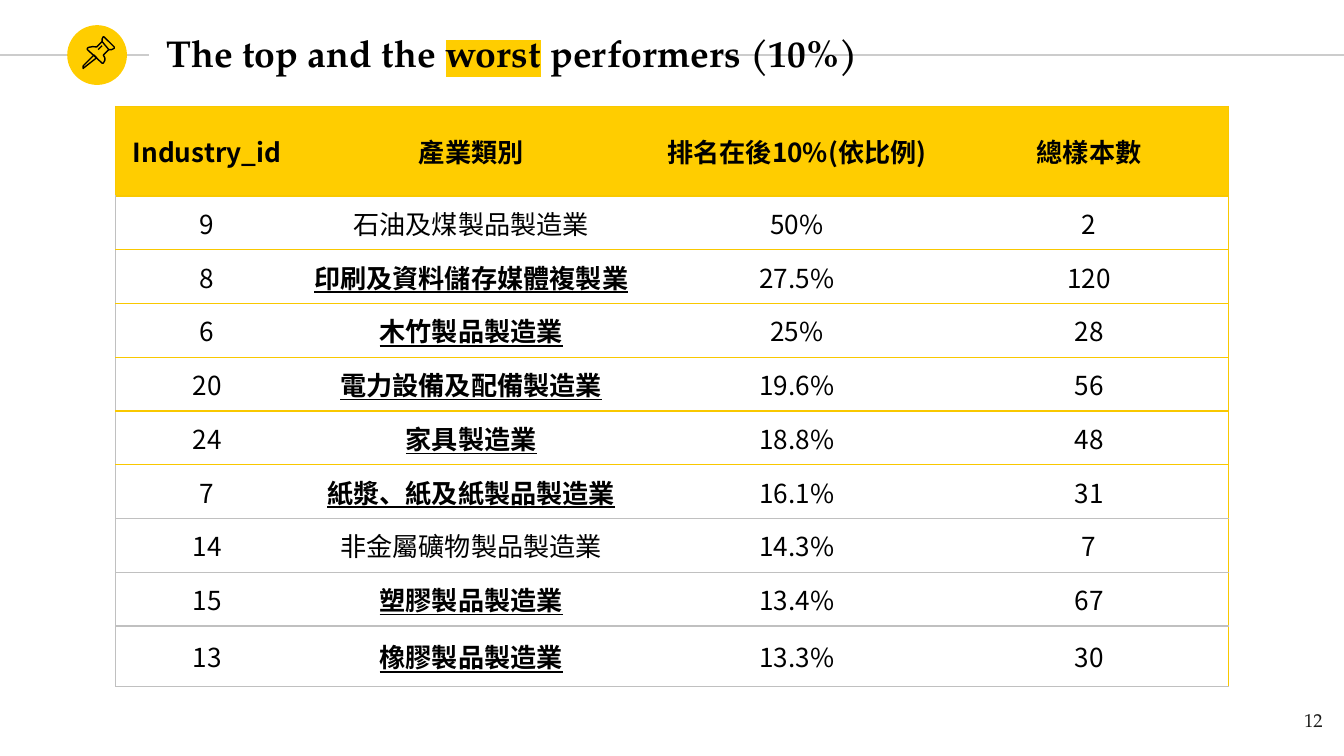
from dataclasses import dataclass
from typing import Optional

import pptx
import pptx.dml.color
import pptx.enum.shapes
import pptx.enum.text
import pptx.oxml
import pptx.oxml.ns
import pptx.util

Pt = pptx.util.Pt
ALIGN = pptx.enum.text.PP_ALIGN
MIDDLE = pptx.enum.text.MSO_ANCHOR.MIDDLE

COLORS = {"yellow": "FFCD00", "edge": "F9C800", "rule": "CCCCCC",
          "grid": "C0C0C0", "black": "000000", "number": "1D1D1B"}
SERIF, SANS, PLAIN = "TeX Gyre Pagella", "Noto Sans CJK TC", "Arial"
HAIRLINE = 0.75
RULE_Y = 29.5
TENTH_POINT = 1270  # EMU per unit of the pin outlines

COLUMN_WIDTHS = (98, 185, 164, 149)
ROW_HEIGHTS = (48,) + (28.8,) * 8 + (32.4,)
LAST_YELLOW_ROW = 5
HEADERS = ("Industry_id", "產業類別", "排名在後10%(依比例)", "總樣本數")


@dataclass
class Industry:
    number: str
    name: str
    share: str
    samples: str
    marked: bool = True


@dataclass
class Outline:
    points: list[tuple[int, int]]
    closed: bool


INDUSTRIES = [
    Industry("9", "石油及煤製品製造業", "50%", "2", False),
    Industry("8", "印刷及資料儲存媒體複製業", "27.5%", "120"),
    Industry("6", "木竹製品製造業", "25%", "28"),
    Industry("20", "電力設備及配備製造業", "19.6%", "56"),
    Industry("24", "家具製造業", "18.8%", "48"),
    Industry("7", "紙漿、紙及紙製品製造業", "16.1%", "31"),
    Industry("14", "非金屬礦物製品製造業", "14.3%", "7", False),
    Industry("15", "塑膠製品製造業", "13.4%", "67"),
    Industry("13", "橡膠製品製造業", "13.3%", "30"),
]

PIN = [
    Outline([(504, 295), (446, 353), (446, 367), (454, 360), (518, 310)], True),
    Outline([(547, 223), (583, 266), (598, 266), (612, 259), (612, 252),
             (558, 198), (552, 198), (547, 209)], True),
    Outline([(547, 223), (518, 252), (497, 250), (475, 254), (468, 259),
             (468, 266), (547, 338), (554, 338), (562, 324), (562, 310),
             (554, 295), (583, 266)], False),
    Outline([(526, 266), (547, 245)], False),
]


def rgb(name: str) -> pptx.dml.color.RGBColor:
    return pptx.dml.color.RGBColor.from_string(COLORS[name])


def xml(text: str):
    return pptx.oxml.parse_xml(text.replace(">", f" {pptx.oxml.ns.nsdecls('a')}>", 1))


def add_span(para, text: str, font: str, size: float, color: str = "black",
             **formats) -> object:
    span = para.add_run()
    span.text = text
    for name, value in {"name": font, "size": Pt(size), **formats}.items():
        setattr(span.font, name, value)
    span.font.color.rgb = rgb(color)
    return span


def set_frame(frame, anchor) -> None:
    formats = {"word_wrap": True, "vertical_anchor": anchor}
    formats.update({f"margin_{side}": Pt(7.2)
                    for side in ("left", "right", "top", "bottom")})
    for name, value in formats.items():
        setattr(frame, name, value)


def add_rule(page, start: float, end: float) -> None:
    rule = page.shapes.add_connector(pptx.enum.shapes.MSO_CONNECTOR.STRAIGHT,
                                     Pt(start), Pt(RULE_Y), Pt(end), Pt(RULE_Y))
    rule.line.color.rgb = rgb("rule")
    rule.line.width = Pt(HAIRLINE)
    rule._element.spPr.append(xml("<a:effectLst></a:effectLst>"))


def add_badge(page) -> None:
    disc = page.shapes.add_shape(pptx.enum.shapes.MSO_SHAPE.OVAL,
                                 Pt(36), Pt(13.5), Pt(32), Pt(32))
    disc.shadow.inherit = False
    disc.fill.solid()
    disc.fill.fore_color.rgb = rgb("yellow")
    disc.line.fill.background()
    pin = page.shapes.add_group_shape()
    for outline in PIN:
        builder = pin.shapes.build_freeform(*outline.points[0], scale=TENTH_POINT)
        builder.add_line_segments(outline.points[1:], close=outline.closed)
        part = builder.convert_to_shape()
        part.shadow.inherit = False
        part.fill.background()
        part.line.color.rgb = rgb("black")
        part.line.width = Pt(HAIRLINE)


def fill_title(page) -> None:
    title = page.shapes.title
    page.shapes._spTree.append(title._element)  # in front of the rule
    for name, value in {"left": 82, "top": 10, "width": 480, "height": 36}.items():
        setattr(title, name, Pt(value))
    set_frame(title.text_frame, MIDDLE)
    para = title.text_frame.paragraphs[0]
    para.alignment = ALIGN.LEFT
    for text in ("The top and the ", "worst", " performers (10%)"):
        span = add_span(para, text, SERIF, 20, bold=True)
        if text == "worst":
            fill = span._r.rPr.find(pptx.oxml.ns.qn("a:solidFill"))
            fill.addnext(xml(f'<a:highlight><a:srgbClr val="{COLORS["yellow"]}"/>'
                             "</a:highlight>"))


def add_page_number(page, number: str) -> None:
    box = page.shapes.add_textbox(Pt(672.5), Pt(373.7), Pt(43.2), Pt(31))
    set_frame(box.text_frame, pptx.enum.text.MSO_ANCHOR.TOP)
    para = box.text_frame.paragraphs[0]
    para.alignment = ALIGN.RIGHT
    add_span(para, number, SERIF, 10, "number")


def set_edges(cell, edges: dict[str, Optional[str]]) -> None:
    """Draw the L, R, T and B edges in the named colours; None hides one."""
    properties = cell._tc.get_or_add_tcPr()
    for place, (side, color) in enumerate(edges.items()):
        paint = (f'<a:solidFill><a:srgbClr val="{COLORS[color]}"/></a:solidFill>'
                 if color else "<a:noFill/>")
        properties.insert(place, xml(f'<a:ln{side} w="{Pt(HAIRLINE)}">{paint}</a:ln{side}>'))


def row_line(row: int) -> str:
    """Colour of the line under a row."""
    return "edge" if row <= LAST_YELLOW_ROW else "grid"


def fill_cell(cell, text: str, row: int, column: int, marked: bool) -> None:
    header = row == 0
    cell.vertical_anchor = MIDDLE
    if header:
        cell.fill.solid()
        cell.fill.fore_color.rgb = rgb("yellow")
    else:
        cell.fill.background()
    left = "edge" if header else "grid"
    last = column == len(COLUMN_WIDTHS) - 1
    set_edges(cell, {"L": left if column == 0 else None,
                     "R": "edge" if last else None,
                     "T": row_line(row - 1), "B": row_line(row)})
    para = cell.text_frame.paragraphs[0]
    para.alignment = ALIGN.CENTER
    emphasis = marked and column == 1
    font = PLAIN if column == 1 and row > 1 else SANS
    span = add_span(para, text, font, 14, bold=header or emphasis, underline=emphasis)
    latin = span._r.rPr.find(pptx.oxml.ns.qn("a:latin"))
    latin.addnext(xml(f'<a:ea typeface="{SANS}"></a:ea>'))


def add_industry_table(page) -> None:
    table = page.shapes.add_table(len(ROW_HEIGHTS), len(COLUMN_WIDTHS), Pt(62), Pt(57),
                                  Pt(sum(COLUMN_WIDTHS)), Pt(sum(ROW_HEIGHTS))).table
    table.horz_banding = False
    for column, width in zip(table.columns, COLUMN_WIDTHS):
        column.width = Pt(width)
    for row, height in zip(table.rows, ROW_HEIGHTS):
        row.height = Pt(height)
    lines = [(HEADERS, False)]
    lines += [((item.number, item.name, item.share, item.samples), item.marked)
              for item in INDUSTRIES]
    for row, (texts, marked) in enumerate(lines):
        for column, text in enumerate(texts):
            fill_cell(table.cell(row, column), text, row, column, marked)


def main() -> None:
    deck = pptx.Presentation()
    deck.slide_width, deck.slide_height = Pt(720), Pt(405)
    page = deck.slides.add_slide(deck.slide_layouts.get_by_name("Title Only"))
    add_rule(page, 0, 80)
    add_rule(page, 386, 720)
    add_badge(page)
    fill_title(page)
    add_page_number(page, "12")
    add_industry_table(page)
    deck.save("out.pptx")


if __name__ == "__main__":
    main()
